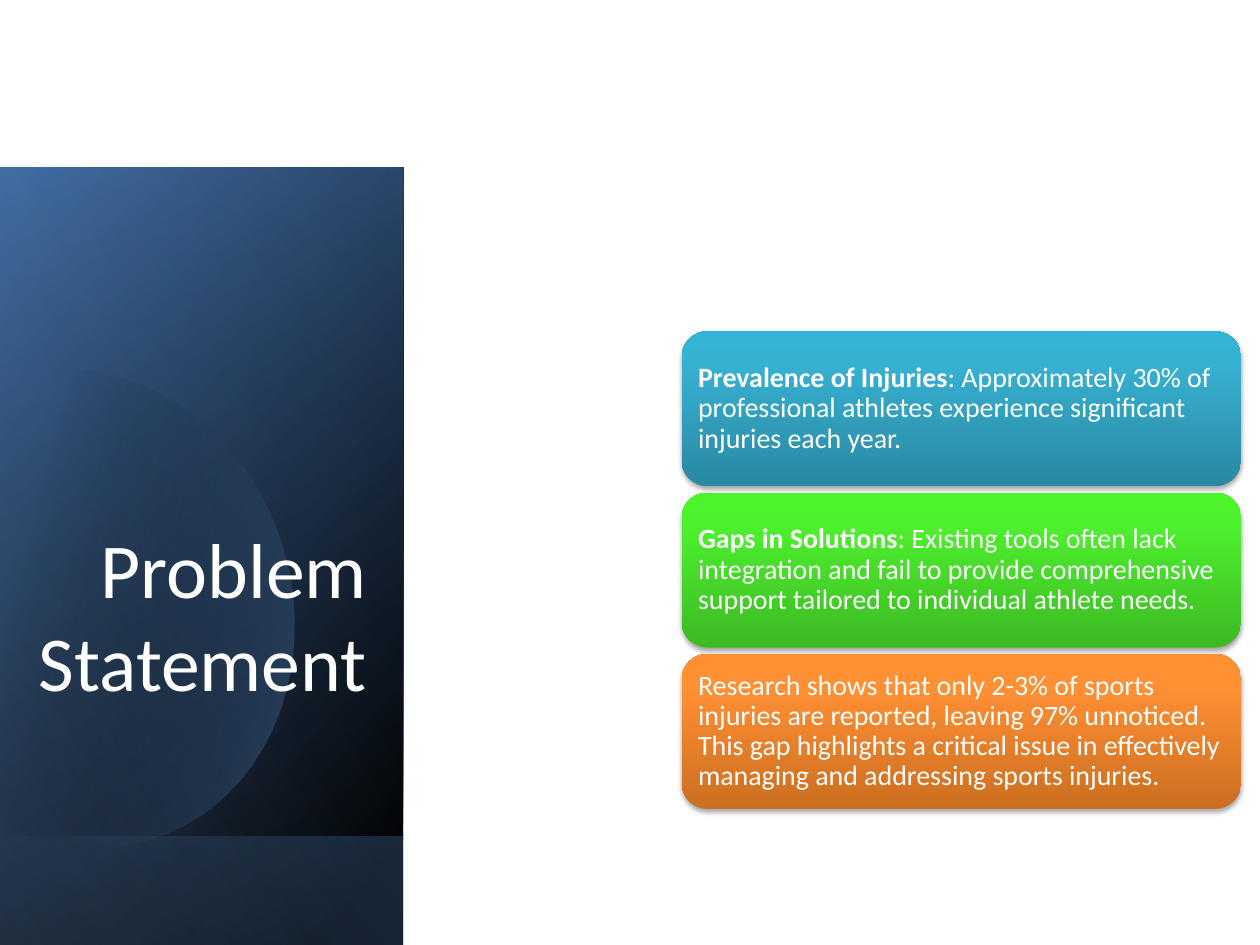
from dataclasses import dataclass
from typing import Optional

from pptx import Presentation
from pptx.dml.color import RGBColor
from pptx.enum.shapes import MSO_SHAPE as Shape
from pptx.enum.text import MSO_ANCHOR as Anchor, PP_ALIGN as Align
from pptx.oxml import parse_xml
from pptx.oxml.ns import nsdecls, qn
from pptx.util import Inches, Pt


@dataclass(frozen=True)
class Theme:
    font: str = "Calibri"
    title_size: float = 44.4
    body_size: float = 16
    text: str = "FFFFFF"
    black: str = "000000"
    navy: str = "376092"
    blue: str = "4F81BD"
    pale_blue: str = "95B3D7"
    teal: tuple = ("2A88A2", "37B1D2", "34B4D6")
    green: tuple = ("3CB923", "4EF02E", "4CF52A")
    orange: tuple = ("CC6E20", "FF9034", "FF9136")


THEME = Theme()


@dataclass(frozen=True)
class Stop:
    position: int
    color: str
    alpha: int = 100


@dataclass(frozen=True)
class Gradient:
    angle: int
    stops: tuple[Stop, ...]


@dataclass(frozen=True)
class Box:
    left: float
    top: float
    width: float
    height: float

    def lengths(self) -> tuple:
        return tuple(Inches(v) for v in (self.left, self.top, self.width, self.height))

    def inset(self, margin: float) -> "Box":
        return Box(self.left + margin, self.top + margin,
                   self.width - 2 * margin, self.height - 2 * margin)


@dataclass(frozen=True)
class Card:
    colors: tuple[str, str, str]
    lead: str
    body: str


@dataclass(frozen=True)
class Layer:
    box: Box
    gradient: Gradient


PANEL = Box(-1.53, 2.86, 6.26, 3.2)
BACK_LAYERS = (
    Layer(PANEL, Gradient(50, (Stop(8, THEME.black), Stop(100, THEME.navy)))),
    Layer(PANEL, Gradient(30, (Stop(0, THEME.black, 0), Stop(99, THEME.blue, 46)))),
    Layer(Box(0.46, 6.18, 2.28, 3.2),
          Gradient(130, (Stop(2, THEME.blue, 29), Stop(100, THEME.black, 30)))),
)
FRONT_LAYER = Layer(PANEL, Gradient(120, (Stop(0, THEME.black, 0),
                                          Stop(99, THEME.pale_blue, 11))))

# The disc is cut off at the left: curves run right and left of a straight edge.
DISC_START = (0.63, 2.94)
DISC_RIGHT_CURVES = (
    ((1.34, 2.99), (2.01, 3.55), (2.25, 4.37)),
    ((2.54, 5.38), (2.06, 6.41), (1.18, 6.66)),
    ((0.64, 6.82), (0.06, 6.64), (-0.37, 6.23)),
)
DISC_EDGE = ((-0.46, 6.14), (-0.55, 3.43), (-0.45, 3.32))
DISC_TOP_CURVES = (
    ((-0.28, 3.17), (-0.09, 3.06), (0.13, 3)),
    ((0.29, 2.95), (0.46, 2.93), DISC_START),
)
DISC_GRADIENT = Gradient(14, (Stop(29, THEME.black, 0), Stop(100, THEME.blue, 43)))

FIRST_CARD = Box(5.41, 2.63, 4.44, 1.23)
CARD_PITCH = 1.28
CARDS = (
    Card(THEME.teal, "Prevalence of Injuries",
         ": Approximately 30% of professional athletes experience significant "
         "injuries each year."),
    Card(THEME.green, "Gaps in Solutions",
         ": Existing tools often lack integration and fail to provide comprehensive "
         "support tailored to individual athlete needs."),
    Card(THEME.orange, "",
         "Research shows that only 2-3% of sports injuries are reported, leaving 97% "
         "unnoticed. This gap highlights a critical issue in effectively managing and "
         "addressing sports injuries."),
)


def paint(shape, gradient: Gradient) -> None:
    """Give a shape a gradient, no outline and no shadow."""
    stops = "".join(
        f'<a:gs pos="{stop.position * 1000}"><a:srgbClr val="{stop.color}">'
        f'<a:alpha val="{stop.alpha * 1000}"/></a:srgbClr></a:gs>'
        for stop in gradient.stops)
    shape.fill.background()
    properties = shape._element.spPr
    properties.replace(properties.find(qn("a:noFill")), parse_xml(
        f'<a:gradFill {nsdecls("a")} rotWithShape="1"><a:gsLst>{stops}</a:gsLst>'
        f'<a:lin ang="{gradient.angle * 60000}" scaled="0"/></a:gradFill>'))
    shape.line.fill.background()
    shape.shadow.inherit = False


def add_soft_shadow(shape) -> None:
    shape._element.spPr.find(qn("a:effectLst")).append(parse_xml(
        f'<a:outerShdw {nsdecls("a")} blurRad="{Pt(3.1)}" dist="{Pt(1.8)}" '
        f'dir="5400000" rotWithShape="0"><a:srgbClr val="{THEME.black}">'
        '<a:alpha val="35000"/></a:srgbClr></a:outerShdw>'))


def add_layer(shapes, layer: Layer) -> None:
    """Add a panel rectangle turned upright and mirrored."""
    panel = shapes.add_shape(Shape.RECTANGLE, *layer.box.lengths())
    panel.rotation = 90
    panel._element.spPr.find(qn("a:xfrm")).set("flipH", "1")
    paint(panel, layer.gradient)


def curve_points(start: tuple, curves: tuple, steps: int = 16) -> list[tuple]:
    """Sample a chain of cubic Bezier curves."""
    points = []
    for first, second, end in curves:
        for step in range(1, steps + 1):
            t = step / steps
            u = 1 - t
            weights = (u ** 3, 3 * u * u * t, 3 * u * t * t, t ** 3)
            points.append(tuple(
                sum(w * p[axis] for w, p in zip(weights, (start, first, second, end)))
                for axis in (0, 1)))
        start = end
    return points


def add_disc(shapes) -> None:
    outline = [*curve_points(DISC_START, DISC_RIGHT_CURVES), *DISC_EDGE,
               *curve_points(DISC_EDGE[-1], DISC_TOP_CURVES)]
    builder = shapes.build_freeform(*map(Inches, DISC_START), scale=1.0)
    builder.add_line_segments([(Inches(x), Inches(y)) for x, y in outline], close=True)
    paint(builder.convert_to_shape(), DISC_GRADIENT)


def add_text(shapes, box: Box, runs: tuple, size: float, anchor: Anchor,
             align: Align, spacing: Optional[float] = None,
             margin: Optional[float] = None) -> None:
    """Add a text box; runs are (text, bold) pairs."""
    frame = shapes.add_textbox(*box.lengths()).text_frame
    settings = {"word_wrap": True, "vertical_anchor": anchor}
    if margin is not None:
        settings |= {f"margin_{side}": Inches(margin)
                     for side in ("left", "top", "right", "bottom")}
    for name, value in settings.items():
        setattr(frame, name, value)
    paragraph = frame.paragraphs[0]
    paragraph.alignment = align
    paragraph.line_spacing = spacing
    for text, bold in runs:
        run = paragraph.add_run()
        run.text = text
        for name, value in {"name": THEME.font, "size": Pt(size), "bold": bold}.items():
            setattr(run.font, name, value)
        run.font.color.rgb = RGBColor.from_string(THEME.text)


def add_card(shapes, card: Card, box: Box) -> None:
    plate = shapes.add_shape(Shape.ROUNDED_RECTANGLE, *box.lengths())
    stops = tuple(Stop(at, color) for at, color in zip((0, 80, 100), card.colors))
    paint(plate, Gradient(270, stops))
    add_soft_shadow(plate)
    runs = tuple(run for run in ((card.lead, True), (card.body, False)) if run[0])
    add_text(shapes, box.inset(0.06), runs, THEME.body_size, Anchor.MIDDLE,
             Align.LEFT, spacing=0.9, margin=0.07)


def main() -> None:
    deck = Presentation()
    deck.slide_width, deck.slide_height = Inches(10), Inches(7.5)
    shapes = deck.slides.add_slide(deck.slide_layouts[6]).shapes
    for layer in BACK_LAYERS:
        add_layer(shapes, layer)
    add_disc(shapes)
    add_layer(shapes, FRONT_LAYER)
    add_text(shapes, Box(0, 3.77, 3.01, 1.89), (("Problem Statement", False),),
             THEME.title_size, Anchor.BOTTOM, Align.RIGHT)
    card_group = shapes.add_group_shape().shapes
    for row, card in enumerate(CARDS):
        add_card(card_group, card, Box(FIRST_CARD.left, FIRST_CARD.top + row * CARD_PITCH,
                                       FIRST_CARD.width, FIRST_CARD.height))
    deck.save("out.pptx")


if __name__ == "__main__":
    main()
